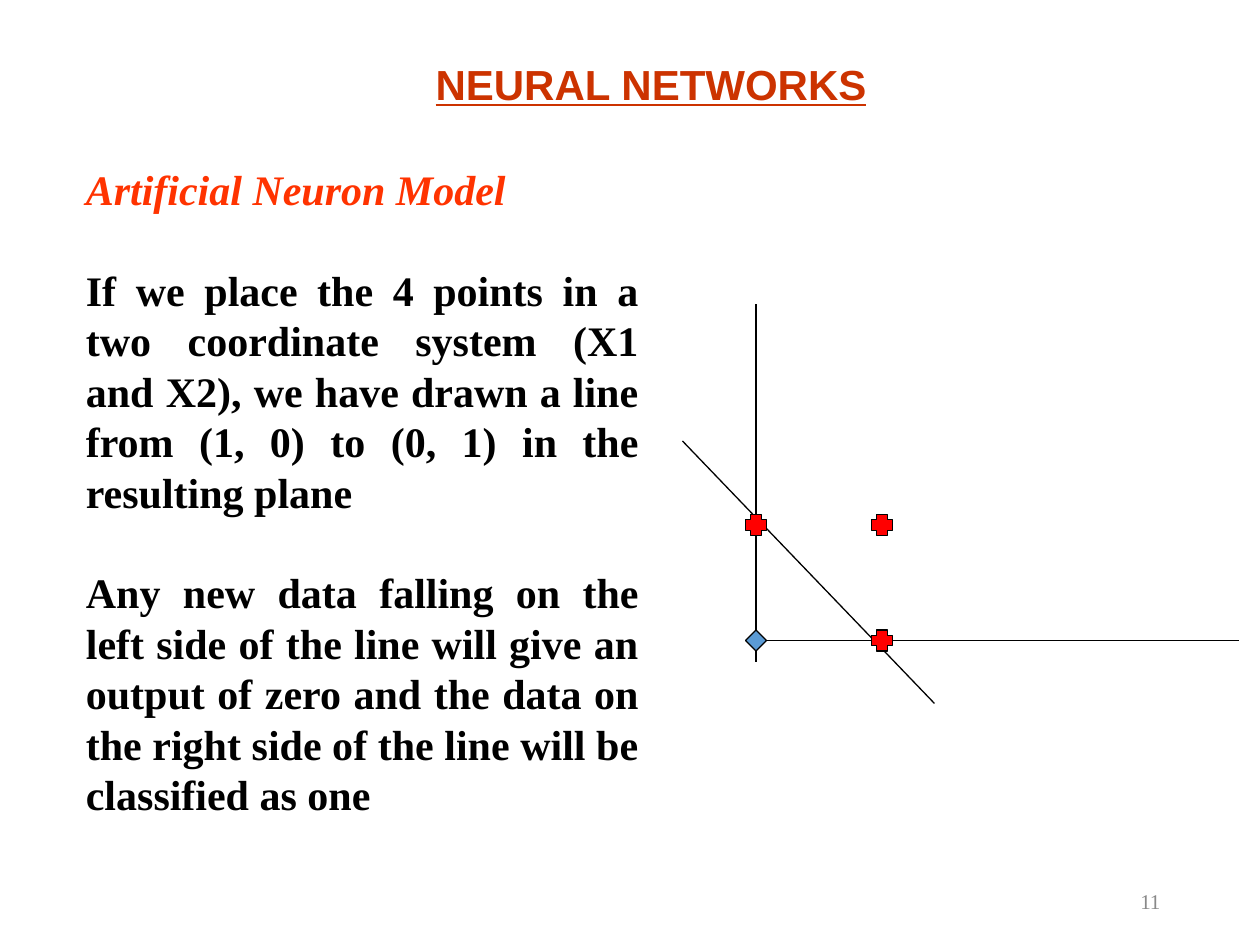
"""Build the neural networks slide with the four points and their dividing line."""
import lxml.etree
import pptx
import pptx.dml.color
import pptx.enum.shapes
import pptx.enum.text
import pptx.oxml.ns
import pptx.util

ALIGN = pptx.enum.text.PP_ALIGN
SHAPE = pptx.enum.shapes.MSO_SHAPE

deck = pptx.Presentation()
deck.slide_width, deck.slide_height = pptx.util.Inches(10), pptx.util.Inches(7.5)
slide = deck.slides.add_slide(deck.slide_layouts[6])
cell = deck.slide_width // 120


def paint(color_format, hex_color):
    color_format.rgb = pptx.dml.color.RGBColor.from_string(hex_color)


def write(box, paragraphs, align, font, size):
    frame = slide.shapes.add_textbox(*(round(n * cell) for n in box)).text_frame
    frame.word_wrap = True
    frame.text = "\n".join(text for text, color in paragraphs)
    for paragraph, (text, color) in zip(frame.paragraphs, paragraphs):
        paragraph.alignment = align
        paragraph.font.name = font
        run = paragraph.runs[0]
        run.font.name, run.font.size = font, pptx.util.Pt(size)
        paint(run.font.color, color)
    return frame


page_number = write((84.7, 83.4, 27, 4.8), [("11", "898989")], ALIGN.RIGHT, "Times New Roman", 12)
page_number.vertical_anchor = pptx.enum.text.MSO_ANCHOR.MIDDLE

title = write((15, 5, 94, 6), [("NEURAL NETWORKS", "CC3300")], ALIGN.CENTER, "Arial", 24)
title.paragraphs[0].runs[0].font.bold = True
title.paragraphs[0].runs[0].font.underline = True

explanation = write((7, 15, 55, 63.6), [
    ("Artificial Neuron Model", "FF3300"),
    ("If we place the 4 points in a two coordinate system (X1 and X2), we have drawn "
     "a line from (1, 0) to (0, 1) in the resulting plane", "000000"),
    ("Any new data falling on the left side of the line will give an output of zero "
     "and the data on the right side of the line will be classified as one", "000000"),
], ALIGN.JUSTIFY, "Times New Roman", 24)
for order, paragraph in enumerate(explanation.paragraphs):
    paragraph.line_spacing = pptx.util.Pt(28.8)
    paragraph.space_before = pptx.util.Pt(28.8 if order else 0)
    paragraph.runs[0].font.bold = True
    paragraph.runs[0].font.italic = order == 0

x_axis, y_axis, boundary = (71, 61, 118, 61), (72, 29, 72, 63), (89, 67, 65, 42)
for ends in (x_axis, y_axis, boundary):
    stroke = slide.shapes.add_connector(
        pptx.enum.shapes.MSO_CONNECTOR.STRAIGHT, *(n * cell for n in ends))
    stroke.line.width = pptx.util.Pt(0.75)
    paint(stroke.line.color, "000000")
    lxml.etree.SubElement(stroke._element.spPr, pptx.oxml.ns.qn("a:effectLst"))

for x1, x2 in ((0, 0), (1, 1), (0, 1), (1, 0)):
    output_is_one = x1 or x2
    point = slide.shapes.add_shape(
        SHAPE.CROSS if output_is_one else SHAPE.DIAMOND,
        (71 + 12 * x1) * cell, (60 - 11 * x2) * cell, 2 * cell, 2 * cell)
    point.shadow.inherit = False
    point.fill.solid()
    paint(point.fill.fore_color, "FF0000" if output_is_one else "5B9BD5")
    point.line.width = pptx.util.Pt(0.75)
    paint(point.line.color, "000000")

deck.save("out.pptx")
